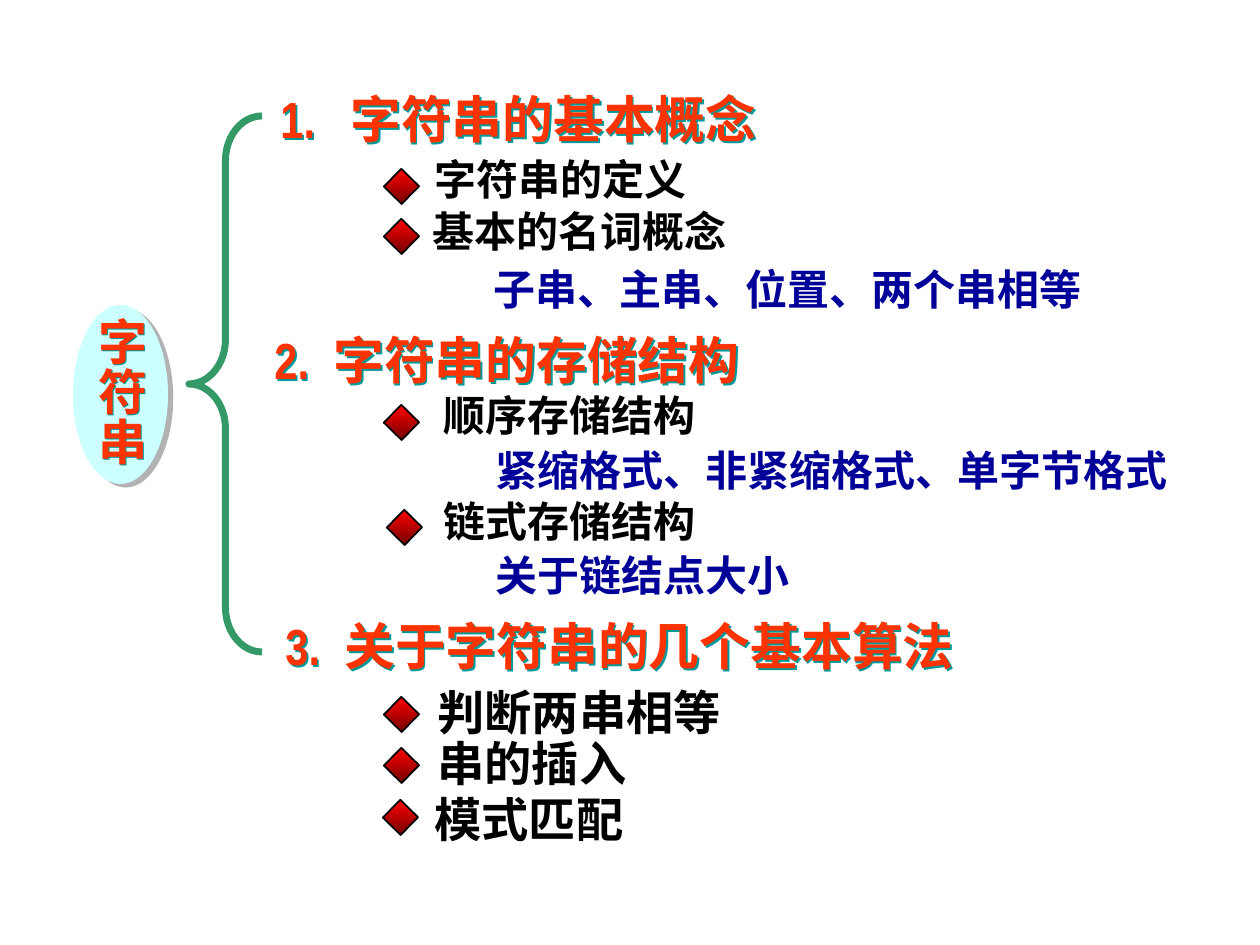
from lxml.etree import SubElement
from pptx import Presentation
from pptx.dml.color import RGBColor
from pptx.enum.lang import MSO_LANGUAGE_ID
from pptx.enum.shapes import MSO_SHAPE
from pptx.enum.text import MSO_ANCHOR, MSO_AUTO_SIZE, PP_ALIGN
from pptx.oxml.ns import qn
from pptx.util import Pt

PX = 914400 / 126
THEME = {
    "font": "Arial Narrow",
    "heading": ("FF3300", 29),
    "title": ("FF3300", 28),
    "note": ("000099", 24),
    "item": ("000000", 24),
    "large_item": ("000000", 27),
    "text_shadow": "009999",
    "oval": "CCFFFF",
    "oval_shadow": "B2B2B2",
    "brace": "339966",
    "diamond": ("FF0000", "760000"),
    "outline": "000000",
}


def write(sp, text, style):
    color, size = THEME[style]
    tf = sp.text_frame
    tf.word_wrap = True
    tf.text = text
    for p in tf.paragraphs:
        for r in p.runs:
            r.font.name = THEME["font"]
            r.font.size = Pt(size)
            r.font.bold = True
            r.font.color.rgb = RGBColor.from_string(color)
            r.font.language_id = MSO_LANGUAGE_ID.SIMPLIFIED_CHINESE
    return tf


def add_shadow(sp, color, dist, angle):
    sp.shadow.inherit = False
    effects = sp.element.spPr.find(qn("a:effectLst"))
    shadow = SubElement(effects, qn("a:outerShdw"), dist=str(Pt(dist)),
                        dir=str(angle * 60000), algn="ctr", rotWithShape="0")
    SubElement(shadow, qn("a:srgbClr"), val=color)


prs = Presentation()
prs.slide_width, prs.slide_height = round(1260 * PX), round(945 * PX)
s = prs.slides.add_slide(prs.slide_layouts[5])

headings = [
    ("1.\t字符串的基本概念", 268, 82, 599, 70),
    ("2.\t字符串的存储结构", 262, 323, 557, 59),
    ("3.\t关于字符串的几个基本算法", 273, 609, 800, 59),
]
for text, x, y, w, tab in headings:
    sp = s.shapes.add_textbox(*(round(v * PX) for v in (x, y, w, 74)))
    tf = write(sp, text, "heading")
    tabs = SubElement(tf.paragraphs[0]._p.get_or_add_pPr(), qn("a:tabLst"))
    SubElement(tabs, qn("a:tab"), pos=str(round(tab * PX)), algn="l")
    add_shadow(sp, THEME["text_shadow"], 1.4, 45)

brace = s.shapes.add_shape(MSO_SHAPE.LEFT_BRACE, *(round(v * PX) for v in (189, 116, 73, 536)))
brace.adjustments[0], brace.adjustments[1] = 0.61, 0.5
brace.fill.background()
brace.line.color.rgb = RGBColor.from_string(THEME["brace"])
brace.line.width = Pt(4)
brace.shadow.inherit = False

notes = [
    ("子串、主串、位置、两个串相等", 481, 257, 674),
    ("紧缩格式、非紧缩格式、单字节格式", 483, 438, 746),
    ("关于链结点大小", 483, 543, 491),
]
for text, x, y, w in notes:
    sp = s.shapes.add_textbox(*(round(v * PX) for v in (x, y, w, 64)))
    write(sp, text, "note")

items = [
    ("字符串的定义", "item", 422, 147, 336, 389, 174),
    ("基本的名词概念", "item", 420, 199, 462, 389, 224),
    ("顺序存储结构", "item", 431, 383, 368, 389, 410),
    ("链式存储结构", "item", 431, 489, 368, 392, 515),
    ("判断两串相等", "large_item", 425, 677, 672, 389, 702),
    ("串的插入", "large_item", 425, 728, 557, 389, 753),
    ("模式匹配", "large_item", 422, 784, 672, 388, 805),
]
for text, style, x, y, w, dx, dy in items:
    group = s.shapes.add_group_shape()
    h = 64 if style == "item" else 71
    sp = group.shapes.add_textbox(*(round(v * PX) for v in (x, y, w, h)))
    write(sp, text, style)
    diamond = group.shapes.add_shape(MSO_SHAPE.RECTANGLE, *(round(v * PX) for v in (dx, dy, 25, 25)))
    diamond.rotation = 44.4
    diamond.fill.gradient()
    diamond.fill.gradient_angle = 315
    for stop, position, color in zip(diamond.fill.gradient_stops, (0, 1), THEME["diamond"]):
        stop.position = position
        stop.color.rgb = RGBColor.from_string(color)
    diamond.line.color.rgb = RGBColor.from_string(THEME["outline"])
    diamond.line.width = Pt(1)
    diamond.shadow.inherit = False

oval = s.shapes.add_shape(MSO_SHAPE.OVAL, *(round(v * PX) for v in (73, 305, 95, 179)))
oval.fill.solid()
oval.fill.fore_color.rgb = RGBColor.from_string(THEME["oval"])
oval.line.fill.background()
add_shadow(oval, THEME["oval_shadow"], 3.6, 34)

title = s.shapes.title
title.left, title.top, title.width, title.height = (round(v * PX) for v in (84, 314, 77, 164))
title.fill.background()
tf = write(title, "字\n符\n串", "title")
tf.word_wrap = False
tf.auto_size = MSO_AUTO_SIZE.NONE
tf.vertical_anchor = MSO_ANCHOR.TOP
for p in tf.paragraphs:
    p.alignment = PP_ALIGN.CENTER
    p.line_spacing = 0.85
    p.space_before = Pt(0)
add_shadow(title, THEME["text_shadow"], 1.4, 45)
oval.element.addnext(title.element)

prs.save("out.pptx")
